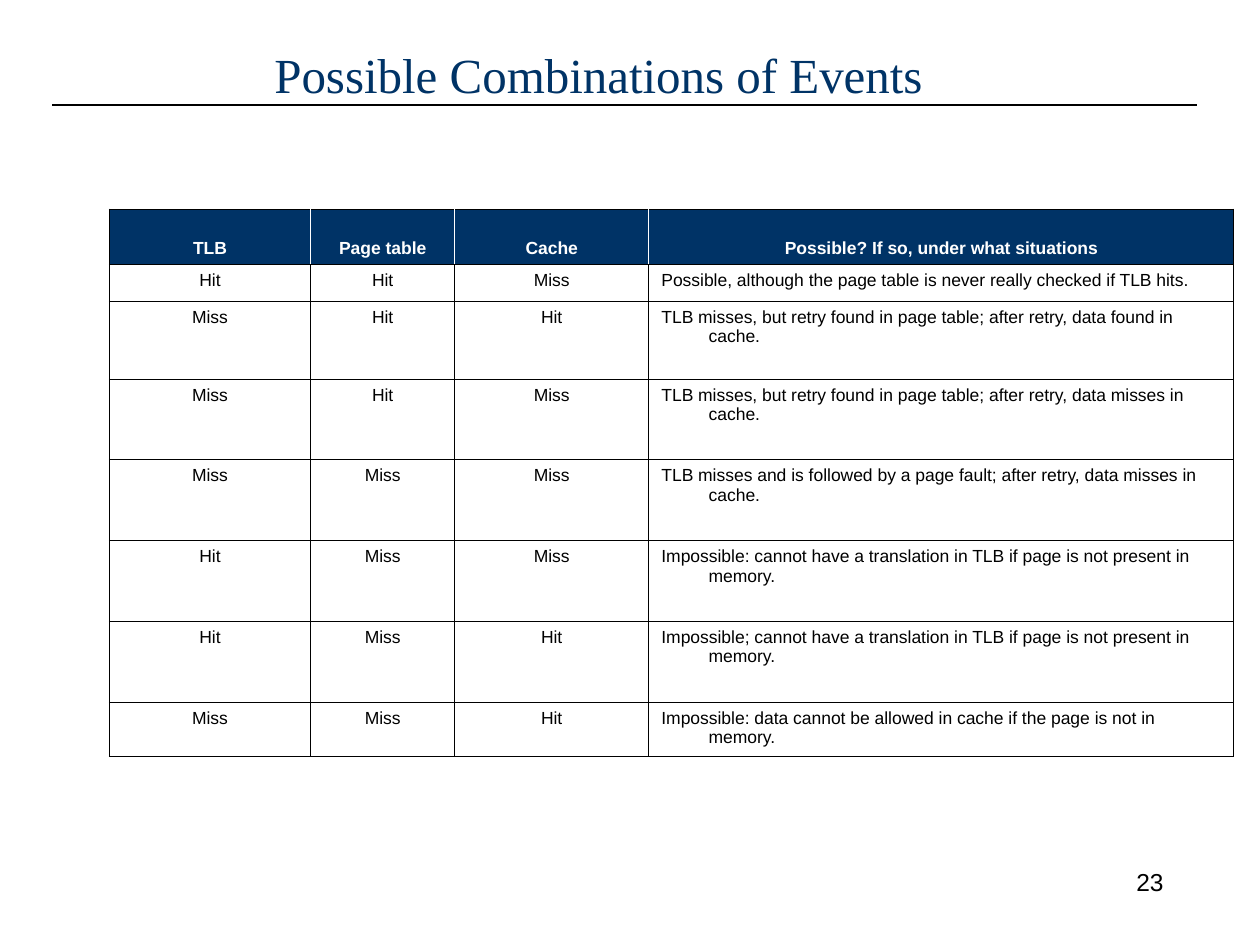
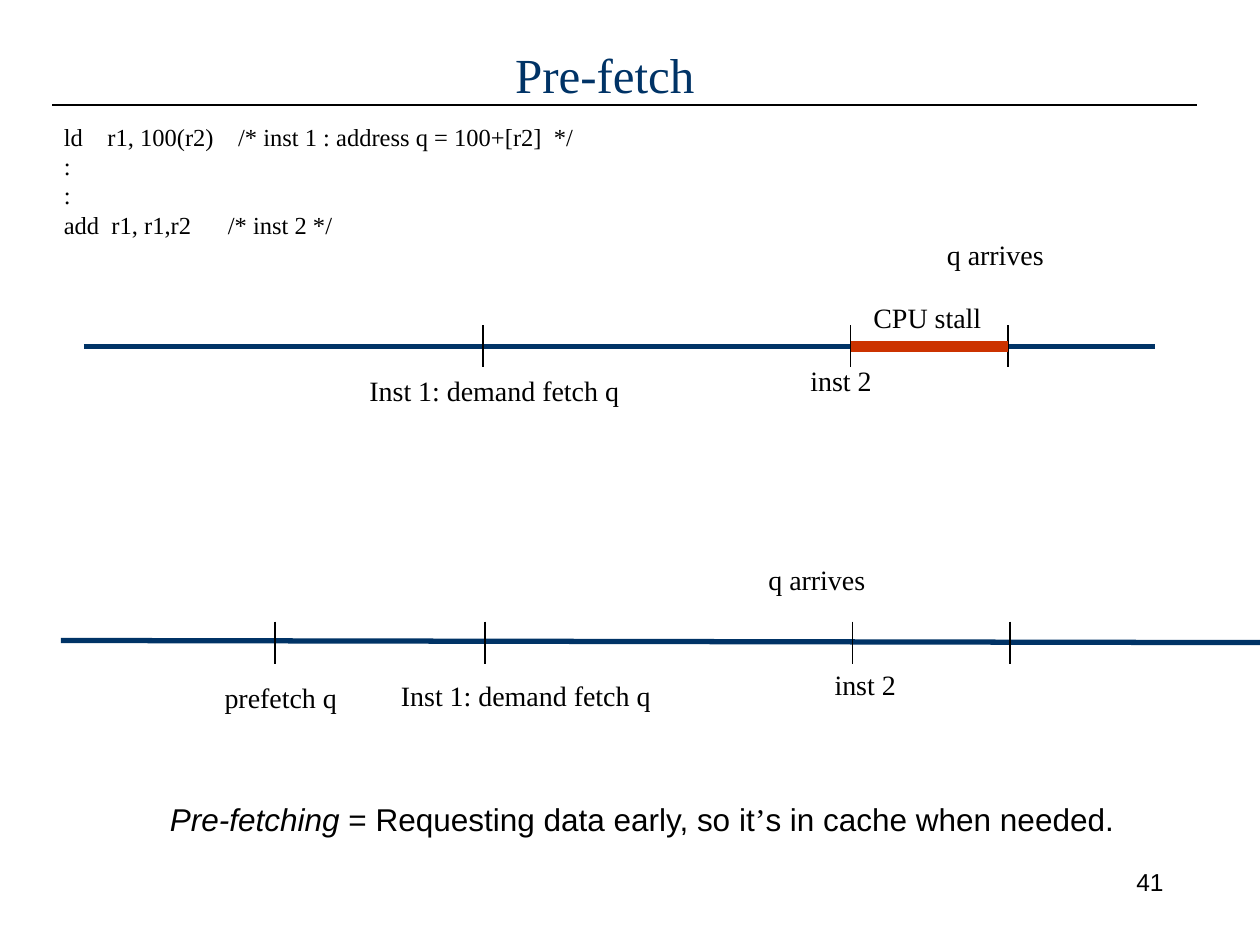
import pptx
import pptx.util
import pptx.dml.color
import pptx.enum.shapes
import pptx.enum.text
import pptx.oxml
import pptx.oxml.ns
from dataclasses import dataclass


@dataclass(frozen=True)
class Theme:
    navy: str = "003366"
    black: str = "000000"
    white: str = "FFFFFF"
    stall: str = "CC3300"
    serif: str = "Times New Roman"
    sans: str = "Arial"
    title: int = 28
    definition: int = 18
    label: int = 16
    small: int = 14
    cell: int = 10


theme = Theme()
align = pptx.enum.text.PP_ALIGN
anchor = pptx.enum.text.MSO_ANCHOR

deck = pptx.Presentation()
deck.slide_width = pptx.util.Inches(10)
deck.slide_height = pptx.util.Inches(7.5)

# Grid of 120 columns by 90 rows, with square units
UNIT = deck.slide_width // 120


def write(para, text, size=theme.label, font=theme.serif, color=theme.black,
          bold=False, italic=False, alignment=align.LEFT, margin=0, indent=0, spacing=1.0):
    """Add one formatted span to a paragraph; margin and indent are grid units."""
    properties = para._p.get_or_add_pPr()
    properties.set("marL", str(int(margin * UNIT)))
    properties.set("indent", str(int(indent * UNIT)))
    para.alignment = alignment
    para.line_spacing = spacing
    span = para.add_run()
    span.text = text
    span.font.size = pptx.util.Pt(size)
    span.font.name = font
    span.font.bold = bold
    span.font.italic = italic
    span.font.color.rgb = pptx.dml.color.RGBColor.from_string(color)


def draw_line(page, left, top, right, bottom, color=theme.black, width=0.75):
    line = page.shapes.add_connector(
        pptx.enum.shapes.MSO_CONNECTOR.STRAIGHT,
        *(int(place * UNIT) for place in (left, top, right, bottom)))
    line.line.color.rgb = pptx.dml.color.RGBColor.from_string(color)
    line.line.width = pptx.util.Pt(width)
    line._element.spPr.append(pptx.oxml.parse_xml(
        f'<a:effectLst {pptx.oxml.ns.nsdecls("a")}/>'))


# Shared frame: title, rule and page number
pages = []
boxes = []  # page, left, top, width, height, wrap, paragraphs of (text, format)
for title_text, title_left, number in (("Possible Combinations of Events", 6, "23"),
                                       ("Pre-fetch", 6.6, "41")):
    page = deck.slides.add_slide(deck.slide_layouts[5])
    pages.append(page)
    draw_line(page, 5, 10, 114, 10)
    title = page.shapes.title
    title.left, title.top, title.width, title.height = (
        int(place * UNIT) for place in (title_left, 2, 102, 10))
    title.text_frame.vertical_anchor = anchor.MIDDLE
    write(title.text_frame.paragraphs[0], title_text, size=theme.title,
          color=theme.navy, alignment=align.CENTER)
    boxes.append((page, 87, 82, 25, 6, True, [[(number, dict(
        size=theme.small, font=theme.sans, alignment=align.RIGHT))]]))
events_page, prefetch_page = pages

# Table of hit and miss combinations
events = [
    ("TLB", "Page table", "Cache", "Possible? If so, under what situations"),
    ("Hit", "Hit", "Miss",
     "Possible, although the page table is never really checked if TLB hits."),
    ("Miss", "Hit", "Hit",
     "TLB misses, but retry found in page table; after retry, data found in cache."),
    ("Miss", "Hit", "Miss",
     "TLB misses, but retry found in page table; after retry, data misses in cache."),
    ("Miss", "Miss", "Miss",
     "TLB misses and is followed by a page fault; after retry, data misses in cache."),
    ("Hit", "Miss", "Miss",
     "Impossible: cannot have a translation in TLB if page is not present in memory."),
    ("Hit", "Miss", "Hit",
     "Impossible; cannot have a translation in TLB if page is not present in memory."),
    ("Miss", "Miss", "Hit",
     "Impossible: data cannot be allowed in cache if the page is not in memory."),
]
column_widths = (19.2, 13.7, 18.5, 55.7)
row_heights = (5.3, 3.5, 7.4, 7.7, 7.7, 7.7, 7.7, 5.2)
last = len(column_widths) - 1
table = events_page.shapes.add_table(
    len(row_heights), len(column_widths), int(10.4 * UNIT), int(19.9 * UNIT),
    int(sum(column_widths) * UNIT), int(sum(row_heights) * UNIT)).table
for column, width in zip(table.columns, column_widths):
    column.width = int(width * UNIT)
for row, height in zip(table.rows, row_heights):
    row.height = int(height * UNIT)

for row_index, event in enumerate(events):
    header = row_index == 0
    for column_index, text in enumerate(event):
        cell = table.cell(row_index, column_index)
        cell.vertical_anchor = anchor.BOTTOM if header else anchor.TOP
        if header:
            cell.fill.solid()
            cell.fill.fore_color.rgb = pptx.dml.color.RGBColor.from_string(theme.navy)
        else:
            cell.fill.background()
        write(cell.text_frame.paragraphs[0], text, size=theme.cell, font=theme.sans,
              color=theme.white if header else theme.black, bold=header,
              alignment=align.CENTER if header or column_index < last else align.LEFT,
              margin=4.5, indent=-4.5)
        # White separators inside the header, black borders elsewhere
        borders = {"L": theme.white if header and column_index > 0 else theme.black,
                   "R": theme.white if header and column_index < last else theme.black,
                   "T": theme.black, "B": theme.black}
        for position, (side, color) in enumerate(borders.items()):
            cell._tc.get_or_add_tcPr().insert(position, pptx.oxml.parse_xml(
                f'<a:ln{side} {pptx.oxml.ns.nsdecls("a")} w="{pptx.util.Pt(0.45)}">'
                f'<a:solidFill><a:srgbClr val="{color}"/></a:solidFill></a:ln{side}>'))

# Timelines without and with pre-fetch
draw_line(prefetch_page, 8, 33, 110, 33, theme.navy, 3)
draw_line(prefetch_page, 5.8, 61, 120, 61.2, theme.navy, 3)
for tick_top, ticks in ((31, (46, 81, 96)), (59.2, (26.2, 46.2, 81.2, 96.2))):
    for tick in ticks:
        draw_line(prefetch_page, tick, tick_top, tick, tick_top + 4)
draw_line(prefetch_page, 81, 33, 96, 33, theme.stall, 6)

# Timeline labels
for text, left, top, width, wrap in (
        ("q arrives", 89, 22, 23, True),
        ("CPU stall", 82, 28, 14, True),
        ("Inst 1: demand fetch q", 34, 35, 27, True),
        ("inst 2", 76, 34, 9, True),
        ("q arrives", 72, 53, 23, True),
        ("prefetch q", 20.2, 64.2, 16.2, True),
        ("Inst 1: demand fetch q", 37, 64, 27, True),
        ("inst 2", 78.3, 63, 9, True)):
    boxes.append((prefetch_page, left, top, width, 4.4, wrap, [[(text, {})]]))

# Code listing and definition
code = ("ld    r1, 100(r2)    /* inst 1 : address q = 100+[r2]  */",
        ":", ":",
        "add  r1, r1,r2      /* inst 2 */")
boxes.append((prefetch_page, 4.9, 11, 51, 12.5, False,
              [[(line, dict(size=theme.small))] for line in code]))
body = dict(size=theme.definition, font=theme.sans, margin=6, spacing=0.9)
boxes.append((prefetch_page, 9, 76, 98.5, 4.4, False, [[
    ("Pre-fetching", body | dict(italic=True)),
    (" = Requesting data early, so it", body),
    ("’", body | dict(font=theme.serif)),
    ("s in cache when needed.", body)]]))

# Place every text box
for page, left, top, width, height, wrap, paragraphs in boxes:
    box = page.shapes.add_textbox(*(int(place * UNIT) for place in (left, top, width, height)))
    frame = box.text_frame
    frame.word_wrap = wrap
    if not wrap:
        frame.auto_size = pptx.enum.text.MSO_AUTO_SIZE.SHAPE_TO_FIT_TEXT
    for index, spans in enumerate(paragraphs):
        para = frame.add_paragraph() if index else frame.paragraphs[0]
        for text, text_format in spans:
            write(para, text, **text_format)

deck.save("out.pptx")
